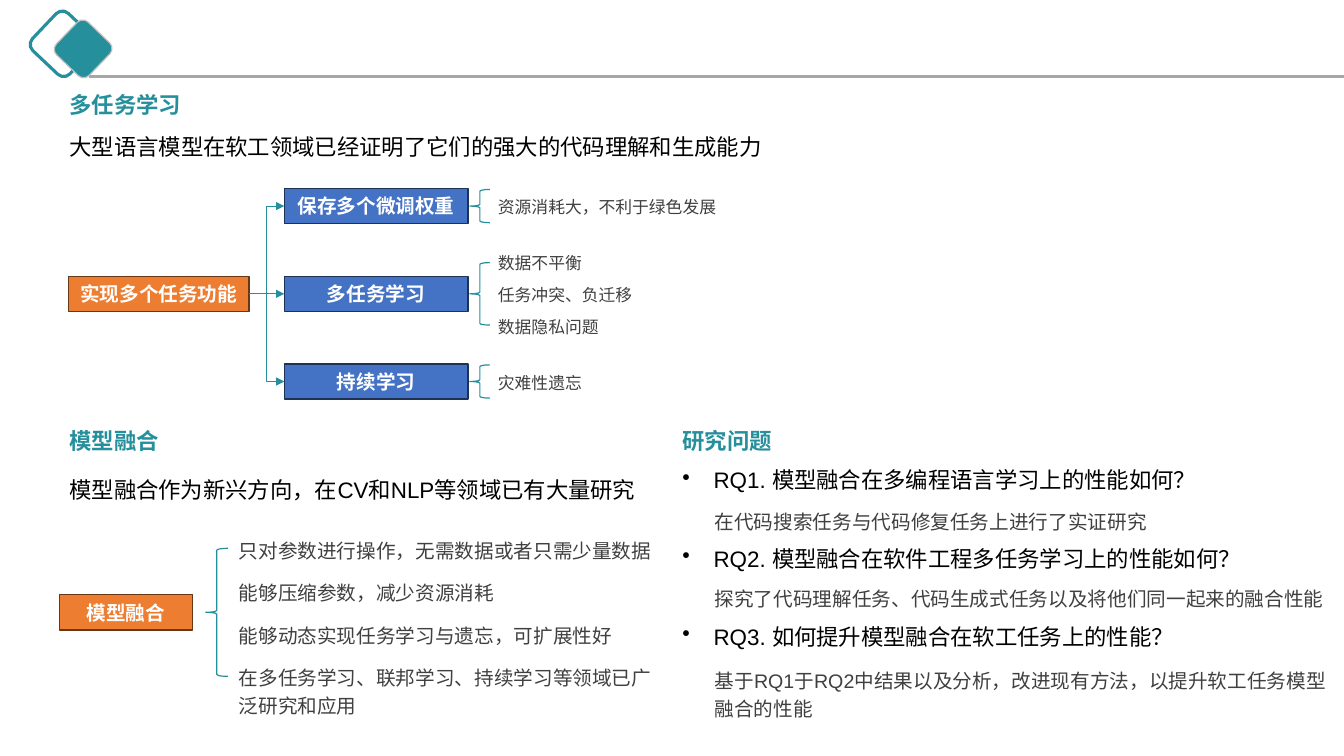
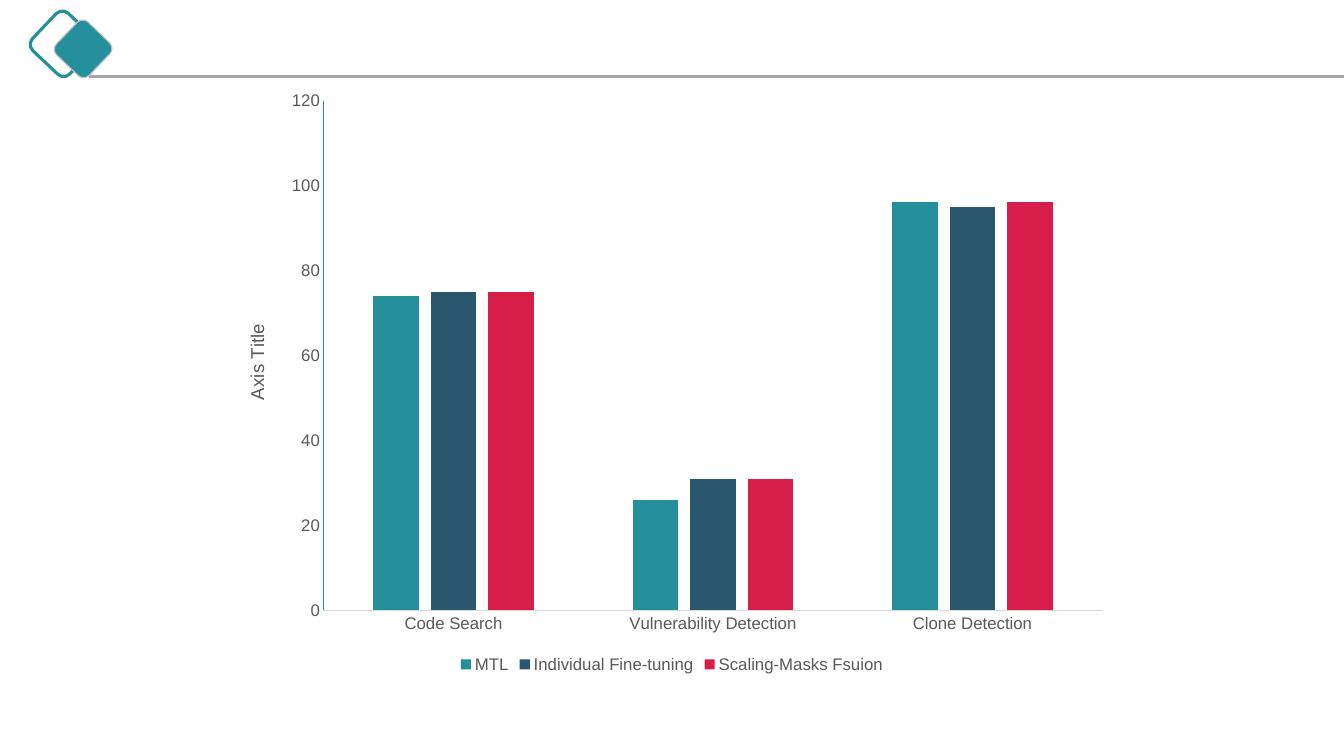
from lxml import etree
from pptx import Presentation
from pptx.chart.data import CategoryChartData
from pptx.dml.color import RGBColor
from pptx.enum.chart import XL_CHART_TYPE, XL_LEGEND_POSITION, XL_TICK_MARK
from pptx.enum.shapes import MSO_CONNECTOR, MSO_SHAPE
from pptx.enum.text import MSO_ANCHOR, PP_ALIGN
from pptx.oxml.ns import qn
from pptx.util import Inches, Pt

TEAL = RGBColor(0x26, 0x8F, 0x9C)
NAVY = RGBColor(0x2A, 0x56, 0x6E)
CRIMSON = RGBColor(0xD7, 0x1D, 0x49)
ORANGE = RGBColor(0xED, 0x7D, 0x31)
ORANGE_EDGE = RGBColor(0x68, 0x37, 0x15)
BLUE = RGBColor(0x44, 0x72, 0xC4)
BLUE_EDGE = RGBColor(0x1E, 0x32, 0x56)
WHITE = RGBColor(0xFF, 0xFF, 0xFF)
BLACK = RGBColor(0, 0, 0)
DARK_GREY = RGBColor(0x40, 0x40, 0x40)
CHART_GREY = RGBColor(0x59, 0x59, 0x59)
RULE_GREY = RGBColor(0xA6, 0xA6, 0xA6)
EDGE_GREY = RGBColor(0xBF, 0xBF, 0xBF)
AXIS_GREY = RGBColor(0xD9, 0xD9, 0xD9)

RECTANGLE = MSO_SHAPE.RECTANGLE
ROUNDED = MSO_SHAPE.ROUNDED_RECTANGLE
BRACE = MSO_SHAPE.LEFT_BRACE
STRAIGHT, ELBOW = MSO_CONNECTOR.STRAIGHT, MSO_CONNECTOR.ELBOW
LEFT, CENTER = PP_ALIGN.LEFT, PP_ALIGN.CENTER
TOP, MIDDLE = MSO_ANCHOR.TOP, MSO_ANCHOR.MIDDLE
NO_TICKS = XL_TICK_MARK.NONE

CJK_FONT = "Noto Sans CJK SC"
LEFT_SITE, RIGHT_SITE = 1, 3
BOX_HEIGHT = 0.35

HEADING = {"size": 16, "color": TEAL, "bold": True, "font": CJK_FONT}
BODY = {"size": 16, "color": BLACK}
DETAIL = {"size": 14, "color": DARK_GREY, "spacing": 1.2}
LABEL = {"size": 12, "color": DARK_GREY, "spacing": 1.2, "anchor": MIDDLE}

APPROACHES = [
    ("保存多个微调权重", 0.33, ["资源消耗大，不利于绿色发展"]),
    ("多任务学习", 0.62, ["数据不平衡", "任务冲突、负迁移", "数据隐私问题"]),
    ("持续学习", 0.33, ["灾难性遗忘"]),
]
FUSION_TRAITS = [
    "只对参数进行操作，无需数据或者只需少量数据",
    "能够压缩参数，减少资源消耗",
    "能够动态实现任务学习与遗忘，可扩展性好",
    "在多任务学习、联邦学习、持续学习等领域已广泛研究和应用",
]
QUESTIONS = [
    ("RQ1. 模型融合在多编程语言学习上的性能如何？", 0.38,
     "在代码搜索任务与代码修复任务上进行了实证研究"),
    ("RQ2. 模型融合在软件工程多任务学习上的性能如何？", 0.37,
     "探究了代码理解任务、代码生成式任务以及将他们同一起来的融合性能"),
    ("RQ3. 如何提升模型融合在软工任务上的性能？", 0.41,
     "基于RQ1于RQ2中结果以及分析，改进现有方法，以提升软工任务模型融合的性能"),
]
TASKS = ["Code Search", "Vulnerability Detection", "Clone Detection"]
RESULTS = [
    ("MTL", (74, 26, 96), TEAL),
    ("Individual Fine-tuning", (75, 31, 95), NAVY),
    ("Scaling-Masks Fsuion", (75, 31, 96), CRIMSON),
]


def format_font(font, size, color, bold=False, name="Arial"):
    """Set the size, colour, weight and face of a font."""
    font.size, font.bold, font.name = Pt(size), bold, name
    font.color.rgb = color


def write_text(frame, text, size, color, bold=False, font="Arial", align=LEFT,
               anchor=TOP, spacing=1.0, bullet=False):
    """Write one formatted paragraph into a text frame."""
    frame.word_wrap = True
    frame.vertical_anchor = anchor
    paragraph = frame.paragraphs[0]
    paragraph.alignment = align
    paragraph.line_spacing = spacing
    if bullet:
        properties = paragraph._p.get_or_add_pPr()
        properties.set("marL", str(Inches(0.31)))
        properties.set("indent", str(-Inches(0.31)))
        etree.SubElement(properties, qn("a:buChar"), char="•")
    run = paragraph.add_run()
    run.text = text
    format_font(run.font, size, color, bold, font)
    etree.SubElement(run._r.get_or_add_rPr(), qn("a:ea"), typeface=CJK_FONT)


def add_text(slide, text, left, top, width, height=0.37, **style):
    """Add a wrapped text box."""
    box = slide.shapes.add_textbox(
        Inches(left), Inches(top), Inches(width), Inches(height))
    write_text(box.text_frame, text, **style)


def add_shape(slide, kind, left, top, width, height, line, weight, fill=None):
    """Add a flat preset shape with an optional fill."""
    shape = slide.shapes.add_shape(
        kind, Inches(left), Inches(top), Inches(width), Inches(height))
    shape.shadow.inherit = False
    if fill is None:
        shape.fill.background()
    else:
        shape.fill.solid()
        shape.fill.fore_color.rgb = fill
    shape.line.color.rgb = line
    shape.line.width = Pt(weight)
    return shape


def add_box(slide, text, left, top, width, fill, edge):
    """Add a filled rectangle with a bold white caption."""
    box = add_shape(slide, RECTANGLE, left, top, width, BOX_HEIGHT, edge, 1, fill)
    frame = box.text_frame
    frame.margin_left = frame.margin_right = 0
    write_text(frame, text, size=14, color=WHITE, bold=True, font="Calibri",
               align=CENTER, anchor=MIDDLE)
    return box


def add_brace(slide, left, middle, width, height):
    """Add a left brace centred on a height."""
    add_shape(slide, BRACE, left, middle - height / 2, width, height, TEAL, 0.85)


def add_line(slide, kind, start, end, color, weight):
    """Add a connector without a shadow."""
    line = slide.shapes.add_connector(
        kind, *(Inches(value) for value in (*start, *end)))
    line.line.color.rgb = color
    line.line.width = Pt(weight)
    etree.SubElement(line._element.spPr, qn("a:effectLst"))
    return line


def add_arrow(slide, source, target):
    """Join two boxes with an elbow arrow."""
    arrow = add_line(slide, ELBOW, (0, 0), (1, 1), TEAL, 0.75)
    arrow.begin_connect(source, RIGHT_SITE)
    arrow.end_connect(target, LEFT_SITE)
    etree.SubElement(arrow.line._get_or_add_ln(), qn("a:tailEnd"), type="triangle")


def add_header(slide):
    """Draw the two diamonds and the rule at the top of a slide."""
    outline = add_shape(slide, ROUNDED, 0.37, 0.18, 0.51, 0.51, TEAL, 2.25)
    outline.rotation = 43.4
    add_line(slide, STRAIGHT, (0.88, 0.76), (13.33, 0.76), RULE_GREY, 2.25)
    diamond = add_shape(slide, ROUNDED, 0.6, 0.26, 0.45, 0.45, EDGE_GREY, 0.85, TEAL)
    diamond.rotation = 43.9


def add_multitask(slide, left, top):
    """Draw the tree of approaches to several tasks."""
    add_text(slide, "多任务学习", left, top, 6.68, **HEADING)
    add_text(slide, "大型语言模型在软工领域已经证明了它们的强大的代码理解和生成能力",
             left, top + 0.41, 9.79, **BODY)
    tree_top, row_step, label_step = top + 1.01, 0.87, 0.32
    root = add_box(slide, "实现多个任务功能", left + 0.09, tree_top + row_step,
                   1.79, ORANGE, ORANGE_EDGE)
    for row, (name, brace_height, issues) in enumerate(APPROACHES):
        box_top = tree_top + row * row_step
        middle = box_top + BOX_HEIGHT / 2
        box = add_box(slide, name, left + 2.23, box_top, 1.82, BLUE, BLUE_EDGE)
        add_arrow(slide, root, box)
        add_brace(slide, left + 4.07, middle, 0.2, brace_height)
        first = middle - 0.18 - label_step * (len(issues) - 1) / 2
        for index, issue in enumerate(issues):
            add_text(slide, issue, left + 4.25, first + index * label_step,
                     2.4, 0.34, **LABEL)


def add_fusion(slide, left, top):
    """Draw the model fusion section with its braced list."""
    add_text(slide, "模型融合", left, top, 1.88, **HEADING)
    add_text(slide, "模型融合作为新兴方向，在CV和NLP等领域已有大量研究",
             left, top + 0.48, 6.2, **BODY)
    box_top = top + 1.71
    add_box(slide, "模型融合", left, box_top, 1.32, ORANGE, ORANGE_EDGE)
    add_brace(slide, left + 1.45, box_top + BOX_HEIGHT / 2, 0.22, 1.27)
    for index, trait in enumerate(FUSION_TRAITS):
        add_text(slide, trait, left + 1.68, top + 1.06 + index * 0.42,
                 4.48, 0.36, **DETAIL)


def add_questions(slide, left, top):
    """Write the research questions and their answers."""
    add_text(slide, "研究问题", left, top, 1.88, **HEADING)
    for index, (question, answer_gap, answer) in enumerate(QUESTIONS):
        question_top = top + 0.39 + index * 0.775
        add_text(slide, question, left, question_top, 6.66, bullet=True, **BODY)
        add_text(slide, answer, left + 0.32, question_top + answer_gap,
                 6.3, 0.36, **DETAIL)


def format_axis(axis, color):
    """Format the labels and line of a chart axis."""
    axis.has_major_gridlines = False
    axis.major_tick_mark = axis.minor_tick_mark = NO_TICKS
    axis.format.line.color.rgb = color
    axis.format.line.width = Pt(0.75)
    format_font(axis.tick_labels.font, 12, CHART_GREY)


def add_results_chart(slide, left, top, width, height):
    """Add the clustered columns that compare the methods."""
    data = CategoryChartData()
    data.categories = TASKS
    for name, values, _ in RESULTS:
        data.add_series(name, values)
    chart = slide.shapes.add_chart(
        XL_CHART_TYPE.COLUMN_CLUSTERED, Inches(left), Inches(top),
        Inches(width), Inches(height), data).chart
    format_font(chart.font, 10, BLACK)
    chart.has_title = False
    chart.has_legend = True
    chart.legend.position = XL_LEGEND_POSITION.BOTTOM
    chart.legend.include_in_layout = False
    format_font(chart.legend.font, 12, CHART_GREY)
    format_axis(chart.category_axis, AXIS_GREY)
    value_axis = chart.value_axis
    format_axis(value_axis, TEAL)
    value_axis.minimum_scale, value_axis.maximum_scale = 0, 120
    value_axis.major_unit = 20
    title = value_axis.axis_title.text_frame
    title.text = "Axis Title"
    format_font(title.paragraphs[0].runs[0].font, 13.3, CHART_GREY)
    plot = chart.plots[0]
    plot.vary_by_categories = False
    plot.gap_width, plot.overlap = 219, -27
    for series, (_, _, color) in zip(plot.series, RESULTS):
        series.format.fill.solid()
        series.format.fill.fore_color.rgb = color


def add_slide(presentation):
    """Add a blank slide with the shared header."""
    slide = presentation.slides.add_slide(presentation.slide_layouts[6])
    add_header(slide)
    return slide


def main():
    """Build and save both slides."""
    presentation = Presentation()
    presentation.slide_width = Inches(13.33)
    presentation.slide_height = Inches(7.5)
    overview = add_slide(presentation)
    add_multitask(overview, 0.59, 0.86)
    add_fusion(overview, 0.59, 4.19)
    add_questions(overview, 6.67, 4.19)
    add_results_chart(add_slide(presentation), 2.22, 0.79, 8.89, 5.93)
    presentation.save("out.pptx")


if __name__ == "__main__":
    main()
